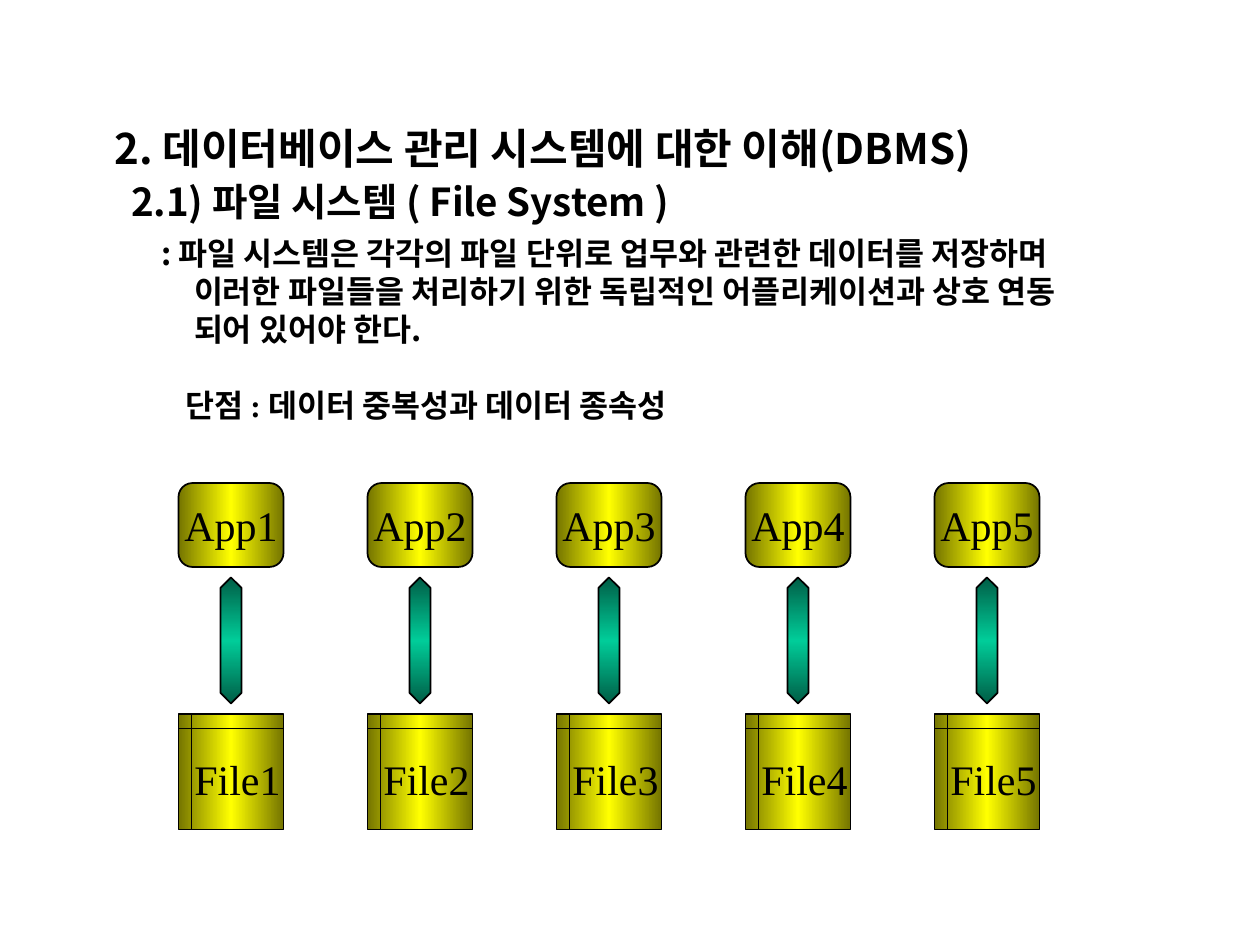
from copy import deepcopy

from lxml import etree
from pptx import Presentation
from pptx import util as u
from pptx.dml.color import RGBColor
from pptx.enum import shapes, text
from pptx.oxml.ns import qn

THEME = {
    "ink": RGBColor.from_string("000000"),
    "gold": ("757500", "FFFF00", 0),
    "green": ("005E46", "00CC99", 90),
    "sans": "Noto Sans CJK KR",
    "serif": "Times New Roman",
    "head": u.Pt(24), "sub": u.Pt(22), "body": u.Pt(18), "label": u.Pt(24),
}

deck = Presentation()
deck.slide_width, deck.slide_height = u.Inches(10), u.Inches(7.5)
slide = deck.slides.add_slide(deck.slide_layouts[1])
unit = deck.slide_width / 120  # grid of 120 columns by 90 rows


def style(para, size, latin, bold):
    """Set the font of a paragraph, Korean letters included."""
    font = para.font
    font.size, font.name, font.bold = size, latin, bold
    font.color.rgb = THEME["ink"]
    east = etree.Element(qn("a:ea"), typeface=THEME["sans"])
    font._element.find(qn("a:latin")).addnext(east)


def draw(kind, col, row, wide, high, paint):
    """Add a shape with a mirrored gradient, dark at both ends."""
    box = slide.shapes.add_shape(kind, *(int(n * unit) for n in (col, row, wide, high)))
    dark, light, angle = paint
    box.fill.gradient()
    box.fill.gradient_angle = angle
    first, last = box.fill.gradient_stops
    first.position, last.position = 0, 1
    first.color.rgb = last.color.rgb = RGBColor.from_string(dark)
    stops = box._element.spPr.find(qn("a:gradFill")).find(qn("a:gsLst"))
    stops.insert(1, deepcopy(stops[0]))
    mid = box.fill.gradient_stops[1]
    mid.position, mid.color.rgb = 0.5, RGBColor.from_string(light)
    box.line.color.rgb, box.line.width = THEME["ink"], u.Pt(1)
    box.shadow.inherit = False
    return box


# Heading and explanation: paragraphs with size, font, left margin,
# first-line indent (inches) and space before (points)
title, body = slide.shapes.title, slide.placeholders[1]
blocks = [
    (title, 0.92, 0.5, [
        ("2. 데이터베이스 관리 시스템에 대한 이해(DBMS)", "head", "sans", 0, 0, 0)]),
    (body, 1.36, 2.06, [
        ("2.1) 파일 시스템 ( File System )", "sub", "sans", 0.13, 0, 0),
        (": 파일 시스템은 각각의 파일 단위로 업무와 관련한 데이터를 저장하며\v"
         "이러한 파일들을 처리하기 위한 독립적인 어플리케이션과 상호 연동\v"
         "되어 있어야 한다.", "body", "sans", 0.63, -0.26, 6),
        ("단점 : 데이터 중복성과 데이터 종속성", "body", "serif", 0.56, 0, 22)]),
]
for holder, top, high, lines in blocks:
    holder.left, holder.top = u.Inches(0.81), u.Inches(top)
    holder.width, holder.height = u.Inches(8.69), u.Inches(high)
    frame = holder.text_frame
    frame.word_wrap, frame.auto_size = True, text.MSO_AUTO_SIZE.NONE
    frame.vertical_anchor = text.MSO_ANCHOR.TOP
    for i, (words, size, face, margin, indent, gap) in enumerate(lines):
        para = frame.add_paragraph() if i else frame.paragraphs[0]
        para.text = words
        para.alignment = text.PP_ALIGN.LEFT
        para.space_before, para.space_after = u.Pt(gap), u.Pt(0)
        props = para._p.get_or_add_pPr()
        props.set("marL", str(u.Inches(margin)))
        props.set("indent", str(u.Inches(indent)))
        etree.SubElement(props, qn("a:buNone"))
        style(para, THEME[size], THEME[face], True)

# Five applications, each tied to its own file
kinds = shapes.MSO_SHAPE
for n in range(5):
    col = 17 + 18 * n
    app = draw(kinds.ROUNDED_RECTANGLE, col, 46, 10, 8, THEME["gold"])
    arrow = draw(kinds.UP_DOWN_ARROW, col + 4, 55, 2, 12, THEME["green"])
    arrow.adjustments[0], arrow.adjustments[1] = 0.5, 1.2
    store = draw(kinds.FLOWCHART_INTERNAL_STORAGE, col, 68, 10, 11, THEME["gold"])
    for box, word in ((app, "App"), (store, "File")):
        frame = box.text_frame
        frame.word_wrap = False
        frame.vertical_anchor = text.MSO_ANCHOR.MIDDLE
        para = frame.paragraphs[0]
        para.text = f"{word}{n + 1}"
        para.alignment = text.PP_ALIGN.CENTER
        style(para, THEME["label"], THEME["serif"], False)

deck.save("out.pptx")
